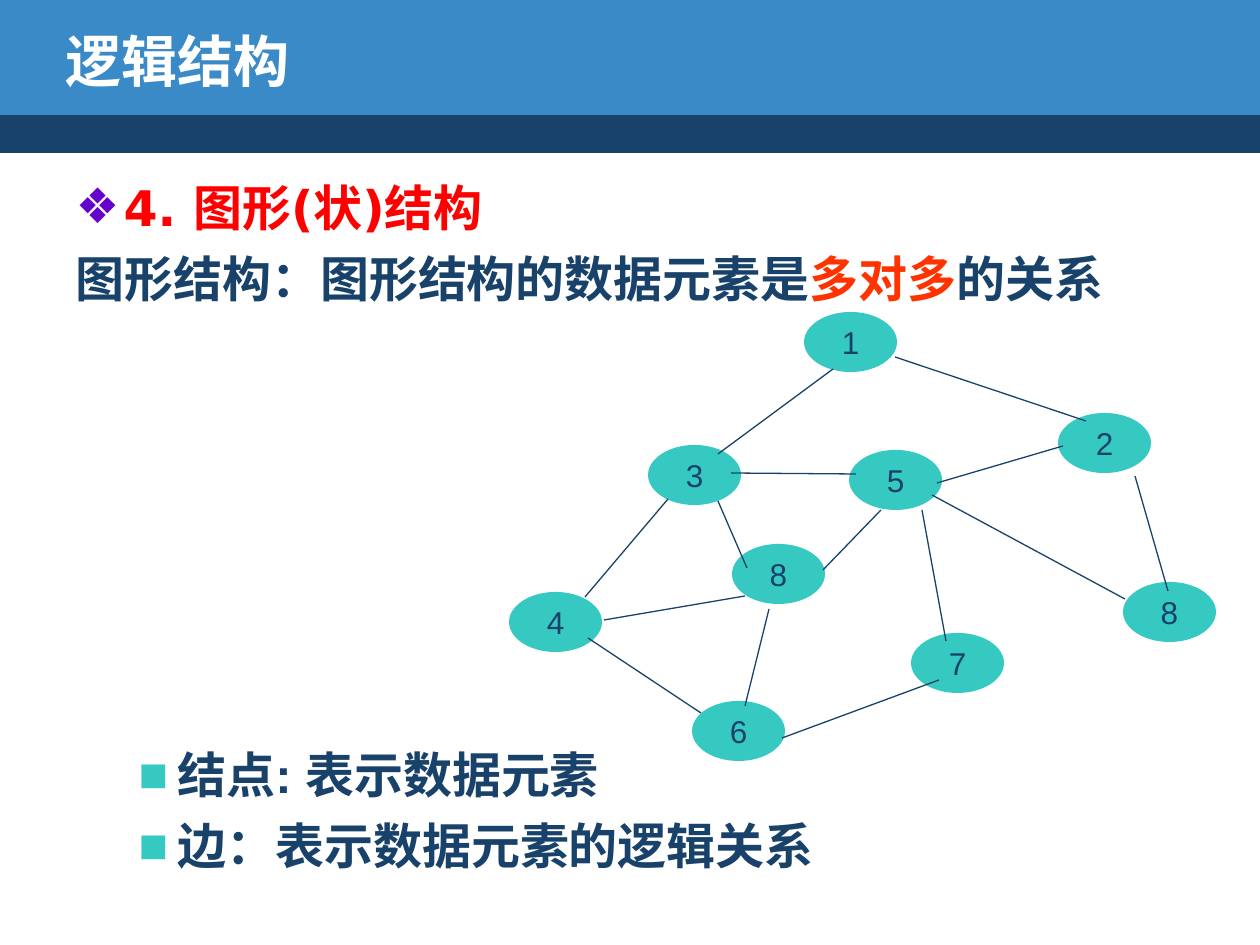
from lxml import etree
from pptx import Presentation, util as u
from pptx.dml.color import RGBColor
from pptx.enum import shapes, text
from pptx.oxml.ns import qn

PX = 914400 / 126
NAVY, BLUE, TEAL = "19426B", "398AC7", "35C9C2"
RED, ORANGE, PURPLE, WHITE = "FF0000", "FF3300", "6600CC", "FFFFFF"


def px(*lengths):
    return [u.Emu(round(length * PX)) for length in lengths]


def color(hex_string):
    return RGBColor.from_string(hex_string)


presentation = Presentation()
presentation.slide_width, presentation.slide_height = px(1260, 945)
slide = presentation.slides.add_slide(presentation.slide_layouts[1])
title, body = slide.placeholders

# Header bands, behind the placeholders
for index, (top, height, fill) in enumerate([(110, 43, NAVY), (0, 115, BLUE)]):
    band = slide.shapes.add_shape(shapes.MSO_SHAPE.RECTANGLE, *px(0, top, 1260, height))
    band.shadow.inherit = False
    band.fill.solid()
    band.fill.fore_color.rgb = color(fill)
    band.line.fill.background()
    slide.shapes._spTree.insert(2 + index, band._element)

# Title
title.left, title.top, title.width, title.height = px(53, 21, 1018, 78)
title.text_frame.vertical_anchor = text.MSO_ANCHOR.MIDDLE
title.text_frame.auto_size = text.MSO_AUTO_SIZE.NONE
paragraph = title.text_frame.paragraphs[0]
paragraph.alignment = text.PP_ALIGN.LEFT
run = paragraph.add_run()
run.text = "逻辑结构"
run.font.size, run.font.bold, run.font.name = u.Pt(32), True, "DejaVu Sans"
run.font.color.rgb = color(WHITE)

# Body: level, margin, indent, space before, bullet, bullet colour, font, runs
body.left, body.top, body.width, body.height = px(63, 171, 1134, 723)
body.text_frame.auto_size = text.MSO_AUTO_SIZE.NONE
paragraphs = [
    (0, 48, -48, 0, "❖", PURPLE, "DejaVu Sans", [("4. 图形(状)结构", RED)]),
    (0, 48, -48, 7, None, None, "DejaVu Sans",
     [("图形结构：图形结构的数据元素是", NAVY), ("多对多", ORANGE), ("的关系", NAVY)]),
    # The wide space before leaves room for the graph
    (1, 102, -39, 250, "■", TEAL, "Arial", [("结点: 表示数据元素", NAVY)]),
    (1, 102, -39, 7, "■", TEAL, "Arial", [("边：表示数据元素的逻辑关系", NAVY)]),
]
for index, (level, margin, indent, before, bullet, bullet_color, font, runs) in enumerate(paragraphs):
    paragraph = body.text_frame.paragraphs[0] if index == 0 else body.text_frame.add_paragraph()
    paragraph.level = level
    paragraph.space_before = u.Pt(before)
    properties = paragraph._p.get_or_add_pPr()
    properties.set("marL", str(px(margin)[0]))
    properties.set("indent", str(px(indent)[0]))
    if bullet:
        bullet_fill = etree.SubElement(properties, qn("a:buClr"))
        etree.SubElement(bullet_fill, qn("a:srgbClr"), val=bullet_color)
        etree.SubElement(properties, qn("a:buChar"), char=bullet)
    else:
        etree.SubElement(properties, qn("a:buNone"))
    for words, run_color in runs:
        run = paragraph.add_run()
        run.text = words
        run.font.size, run.font.bold, run.font.name = u.Pt(28), True, font
        run.font.color.rgb = color(run_color)

# Graph nodes: label, left, top
nodes = [
    ("1", 804, 312), ("3", 648, 445), ("5", 849, 450),
    ("2", 1058, 413), ("4", 509, 592), ("8", 732, 544),
    ("6", 692, 701), ("7", 911, 633), ("8", 1123, 582),
]
for label, left, top in nodes:
    node = slide.shapes.add_shape(shapes.MSO_SHAPE.OVAL, *px(left, top, 93, 60))
    node.shadow.inherit = False
    node.fill.solid()
    node.fill.fore_color.rgb = color(TEAL)
    node.line.fill.background()
    node.text_frame.word_wrap = False
    node.text_frame.vertical_anchor = text.MSO_ANCHOR.MIDDLE
    paragraph = node.text_frame.paragraphs[0]
    paragraph.alignment = text.PP_ALIGN.CENTER
    run = paragraph.add_run()
    run.text = label
    run.font.size, run.font.name = u.Pt(18), "Arial"
    run.font.color.rgb = color(NAVY)

# Graph edges: start x, start y, end x, end y
edges = [
    (833, 369, 718, 454), (895, 357, 1086, 421), (668, 499, 585, 597),
    (731, 473, 856, 474), (937, 483, 1063, 446), (604, 620, 745, 596),
    (718, 501, 747, 568), (823, 570, 881, 510), (769, 609, 745, 706),
    (588, 638, 701, 713), (922, 510, 946, 641), (782, 738, 939, 680),
    (1135, 476, 1168, 591), (932, 495, 1125, 599),
]
for ends in edges:
    edge = slide.shapes.add_connector(shapes.MSO_CONNECTOR.STRAIGHT, *px(*ends))
    edge.line.color.rgb = color(NAVY)
    edge.line.width = u.Pt(0.75)
    etree.SubElement(edge._element.spPr, qn("a:effectLst"))

presentation.save("out.pptx")
